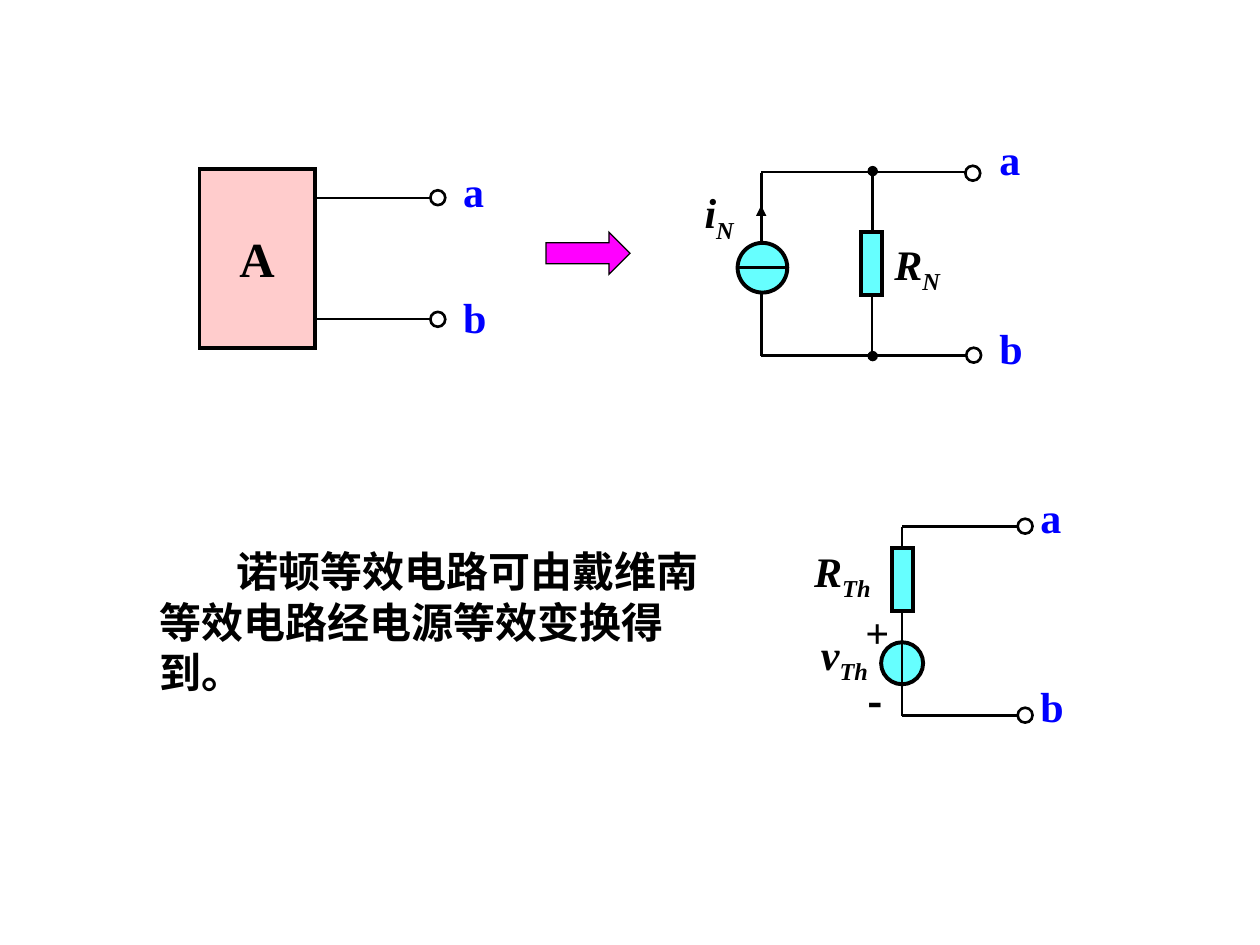
from typing import NamedTuple

from lxml import etree
from pptx import Presentation
from pptx.dml.color import RGBColor
from pptx.enum.shapes import MSO_CONNECTOR, MSO_SHAPE
from pptx.enum.text import MSO_ANCHOR, MSO_AUTO_SIZE, PP_ALIGN
from pptx.oxml.ns import qn
from pptx.util import Pt

RECTANGLE = MSO_SHAPE.RECTANGLE
OVAL = MSO_SHAPE.OVAL
RIGHT_ARROW = MSO_SHAPE.RIGHT_ARROW
STRAIGHT = MSO_CONNECTOR.STRAIGHT
TOP, MIDDLE = MSO_ANCHOR.TOP, MSO_ANCHOR.MIDDLE
CENTER, LEFT = PP_ALIGN.CENTER, PP_ALIGN.LEFT
GROW = MSO_AUTO_SIZE.SHAPE_TO_FIT_TEXT

LATIN_FONT = "Times New Roman"
CHINESE_FONT = "Noto Sans CJK SC"
BLACK, BLUE, CYAN = "000000", "0000FF", "66FFFF"
PINK, MAGENTA = "FFCCCC", "FF00FF"


class Box(NamedTuple):
    left: float
    top: float
    width: float
    height: float


class Wire(NamedTuple):
    x1: float
    y1: float
    x2: float
    y2: float
    arrow: bool = False


class Part(NamedTuple):
    kind: MSO_SHAPE
    box: Box
    fill: str | None = None
    line_width: float = 2.25


class Label(NamedTuple):
    text: str
    box: Box
    subscript: str = ""
    color: str = BLACK
    size: float = 24
    font: str = LATIN_FONT
    centered: bool = False
    wrap: bool = True
    indent: float = 0


def rgb(color: str) -> RGBColor:
    return RGBColor.from_string(color)


def centered_oval(x: float, y: float, diameter: float,
                  fill: str | None = None, line_width: float = 2.25) -> Part:
    radius = diameter / 2
    return Part(OVAL, Box(x - radius, y - radius, diameter, diameter), fill, line_width)


def terminal(x: float, y: float) -> Part:
    return centered_oval(x, y, 8.5, line_width=1.5)


def junction(x: float, y: float) -> Part:
    return centered_oval(x, y, 5.2, BLACK, 0.75)


def terminal_label(text: str, left: float, top: float) -> Label:
    return Label(text, Box(left, top, 36, 36), color=BLUE)


def centered_label(text: str, box: Box, **formats) -> Label:
    return Label(text, box, centered=True, wrap=False, **formats)


def draw_part(slide, part: Part) -> None:
    shape = slide.shapes.add_shape(part.kind, *map(Pt, part.box))
    shape.shadow.inherit = False
    shape.line.color.rgb = rgb(BLACK)
    shape.line.width = Pt(part.line_width)
    etree.SubElement(shape.line._get_or_add_ln(), qn("a:miter"), lim="800000")
    if part.fill:
        shape.fill.solid()
        shape.fill.fore_color.rgb = rgb(part.fill)
    else:
        shape.fill.background()


def draw_wire(slide, wire: Wire) -> None:
    connector = slide.shapes.add_connector(STRAIGHT, *map(Pt, wire[:4]))
    connector.line.color.rgb = rgb(BLACK)
    connector.line.width = Pt(1.5)
    if wire.arrow:
        line = connector.line._get_or_add_ln()
        etree.SubElement(line, qn("a:tailEnd"), type="triangle")
    etree.SubElement(connector._element.spPr, qn("a:effectLst"))


def draw_label(slide, label: Label) -> None:
    frame = slide.shapes.add_textbox(*map(Pt, label.box)).text_frame
    frame.word_wrap = label.wrap
    frame.auto_size = GROW
    frame.vertical_anchor = MIDDLE if label.centered or label.indent else TOP
    paragraph = frame.paragraphs[0]
    paragraph.alignment = CENTER if label.centered else LEFT
    if label.indent:
        paragraph_properties = paragraph._p.get_or_add_pPr()
        paragraph_properties.set("indent", str(Pt(label.indent)))
        paragraph_properties.set("hangingPunct", "0")
    formats = {"name": label.font, "size": Pt(label.size), "bold": True,
               "italic": bool(label.subscript)}
    for text, baseline in ((label.text, 0), (label.subscript, -25000)):
        if not text:
            continue
        run = paragraph.add_run()
        run.text = text
        for name, value in formats.items():
            setattr(run.font, name, value)
        run.font.color.rgb = rgb(label.color)
        properties = run._r.get_or_add_rPr()
        etree.SubElement(properties, qn("a:ea"), typeface=CHINESE_FONT)
        if baseline:
            properties.set("baseline", str(baseline))


NETWORK = [
    Part(RIGHT_ARROW, Box(312, 132.7, 48, 24), MAGENTA, 0.75),
    Part(RECTANGLE, Box(114, 96.5, 66, 102.3), PINK),
    centered_label("A", Box(129.6, 126.7, 34.6, 41), size=28),
    Wire(180, 113.2, 246, 113.2),
    Wire(180, 182.3, 246, 182.3),
    terminal(250.2, 113),
    terminal(250.2, 182.5),
    centered_label("a", Box(257.3, 90.7, 26.6, 36), color=BLUE),
    centered_label("b", Box(257.3, 162.7, 28, 36), color=BLUE),
]

EXPLANATION = [
    Label("诺顿等效电路可由戴维南等效电路经电源等效变换得到。",
          Box(84, 322.6, 324, 64.8), indent=44),
]

THEVENIN = [
    Wire(515.5, 301, 582, 301),
    Wire(515.5, 301, 515.5, 409),
    Wire(515.5, 409, 582, 409),
    terminal_label("a", 587.5, 277.2),
    terminal_label("b", 587.5, 385.2),
    Part(RECTANGLE, Box(509.5, 313, 12, 36), CYAN),
    Label("R", Box(458.2, 308, 61, 36.7), "Th"),
    centered_oval(515.5, 379, 24, CYAN),
    Wire(515.5, 366, 515.5, 392.4),
    Label("v", Box(462, 355.4, 54, 36), "Th"),
    terminal(585.8, 408.7),
    terminal(585.8, 300.7),
    centered_label("+", Box(487.4, 343, 28, 36)),
    centered_label("-", Box(487, 382.3, 26.6, 36), font=CHINESE_FONT),
]

NORTON = [
    terminal_label("a", 564, 72.7),
    terminal_label("b", 564, 180.7),
    Part(RECTANGLE, Box(492, 132.5, 12, 36), CYAN),
    Label("R", Box(504, 132.5, 90, 36), "N"),
    centered_oval(435.7, 153, 28.4, CYAN),
    Label("i", Box(395.5, 103.2, 54, 36), "N"),
    terminal(556.4, 203),
    terminal(555.9, 99),
    Wire(435, 203, 552, 203),
    Wire(435, 98.2, 552, 98.2),
    Wire(498.7, 98.2, 498.7, 132.5),
    Wire(498.2, 168.5, 498.2, 203),
    Wire(435, 98.6, 435, 139),
    Wire(435, 167.5, 435, 203.5),
    Wire(421.5, 153, 449.6, 153),
    Wire(435, 132.5, 435, 117.4, arrow=True),
    junction(498.7, 97.8),
    junction(498.7, 203.5),
]

DRAW = {Part: draw_part, Wire: draw_wire, Label: draw_label}


def main() -> None:
    presentation = Presentation()
    presentation.slide_width, presentation.slide_height = Pt(720), Pt(540)
    slide = presentation.slides.add_slide(presentation.slide_layouts[6])
    for element in NETWORK + EXPLANATION + THEVENIN + NORTON:
        DRAW[type(element)](slide, element)
    presentation.save("out.pptx")


if __name__ == "__main__":
    main()
